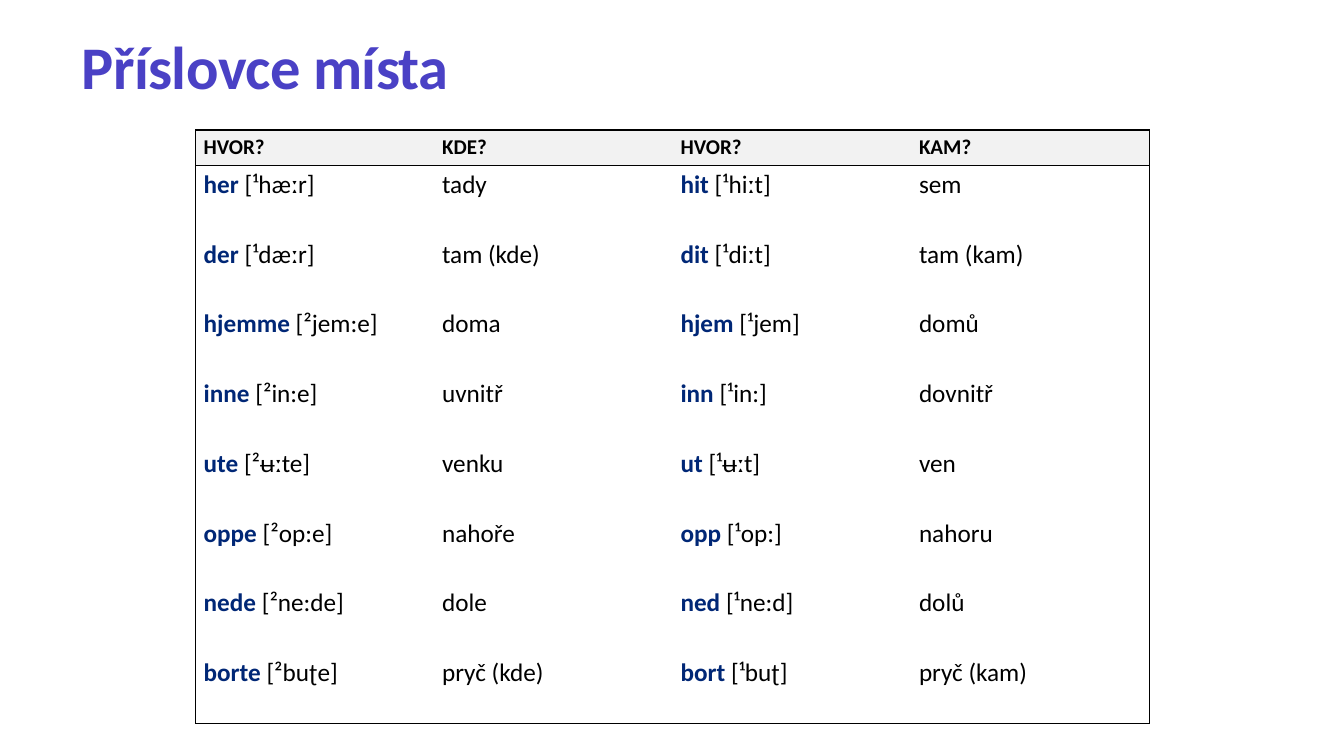
from lxml.etree import SubElement
from pptx import Presentation
from pptx.dml.color import RGBColor
from pptx.enum.text import MSO_ANCHOR
from pptx.oxml.ns import qn
from pptx.util import Inches, Pt

TITLE = "Příslovce místa"
HEADINGS = ["HVOR?", "KDE?", "HVOR?", "KAM?"]
# place word, pronunciation, meaning; direction word, pronunciation, meaning
ADVERBS = [
    ("her", "[¹hæːr]", "tady", "hit", "[¹hiːt]", "sem"),
    ("der", "[¹dæːr]", "tam (kde)", "dit", "[¹diːt]", "tam (kam)"),
    ("hjemme", "[²jem:e]", "doma", "hjem", "[¹jem]", "domů"),
    ("inne", "[²in:e]", "uvnitř", "inn", "[¹in:]", "dovnitř"),
    ("ute", "[²ʉːte]", "venku", "ut", "[¹ʉːt]", "ven"),
    ("oppe", "[²op:e]", "nahoře", "opp", "[¹op:]", "nahoru"),
    ("nede", "[²ne:de]", "dole", "ned", "[¹ne:d]", "dolů"),
    ("borte", "[²buʈe]", "pryč (kde)", "bort", "[¹buʈ]", "pryč (kam)"),
]
COLORS = {"title": "4A41C5", "word": "002776", "text": "000000",
          "header": "F2F2F2", "border": "000000"}
FONT = "Calibri"
SLIDE_W, SLIDE_H = 13.33, 7.5
TABLE_LEFT, TABLE_TOP, TABLE_W, TABLE_H = 1.94, 1.29, 9.46, 5.89
HEADER_H = 0.35
ROW_H = (TABLE_H - HEADER_H) / len(ADVERBS)


def add_run(p, text, size, color, bold=False):
    r = p.add_run()
    r.text = text
    r.font.name, r.font.size, r.font.bold = FONT, Pt(size), bold
    r.font.color.rgb = RGBColor.from_string(COLORS[color])
    return r


def set_borders(cell, visible):
    """Draw the visible sides (letters of LRTB) and hide the others."""
    tc_pr = cell._tc.get_or_add_tcPr()
    for side in "LRTB":
        line = SubElement(tc_pr, qn(f"a:ln{side}"), w=str(Pt(1)))
        if side in visible:
            fill = SubElement(line, qn("a:solidFill"))
            SubElement(fill, qn("a:srgbClr"), val=COLORS["border"])
        else:
            SubElement(line, qn("a:noFill"))


def add_title(slide):
    box = slide.shapes.add_textbox(Inches(0.71), Inches(0.4), Inches(11.54), Inches(0.67))
    tf = box.text_frame
    tf.word_wrap = True
    tf.vertical_anchor = MSO_ANCHOR.BOTTOM
    p = tf.paragraphs[0]
    p.line_spacing = 0.9
    r = add_run(p, TITLE, 43.2, "title", bold=True)
    r.font._element.set("spc", "-40")


def add_adverb_table(slide):
    rows = [[[(h, 15, "text", True)] for h in HEADINGS]]
    for adverb in ADVERBS:
        row = []
        for word, sound, meaning in (adverb[:3], adverb[3:]):
            row.append([(word + " ", 18, "word", True), (sound, 18, "text")])
            row.append([(meaning, 18, "text")])
        rows.append(row)

    last_row, last_col = len(rows) - 1, len(HEADINGS) - 1
    table = slide.shapes.add_table(
        len(rows), len(HEADINGS), Inches(TABLE_LEFT), Inches(TABLE_TOP),
        Inches(TABLE_W), Inches(TABLE_H)).table
    table.first_row = table.horz_banding = False
    for column in table.columns:
        column.width = Inches(TABLE_W / len(HEADINGS))

    for i, row in enumerate(rows):
        table.rows[i].height = Inches(ROW_H if i else HEADER_H)
        for j, runs in enumerate(row):
            cell = table.cell(i, j)
            cell.margin_left = cell.margin_right = Inches(0.08)
            cell.margin_top = cell.margin_bottom = Inches(0.04)
            sides = {"L": j == 0, "R": j == last_col,
                     "T": i <= 1, "B": i in (0, last_row)}
            set_borders(cell, [side for side, shown in sides.items() if shown])
            if i == 0:
                cell.fill.solid()
                cell.fill.fore_color.rgb = RGBColor.from_string(COLORS["header"])
            else:
                cell.fill.background()
            for run in runs:
                add_run(cell.text_frame.paragraphs[0], *run)


def main():
    prs = Presentation()
    prs.slide_width, prs.slide_height = Inches(SLIDE_W), Inches(SLIDE_H)
    slide = prs.slides.add_slide(prs.slide_layouts[6])
    add_title(slide)
    add_adverb_table(slide)
    prs.save("out.pptx")


if __name__ == "__main__":
    main()
